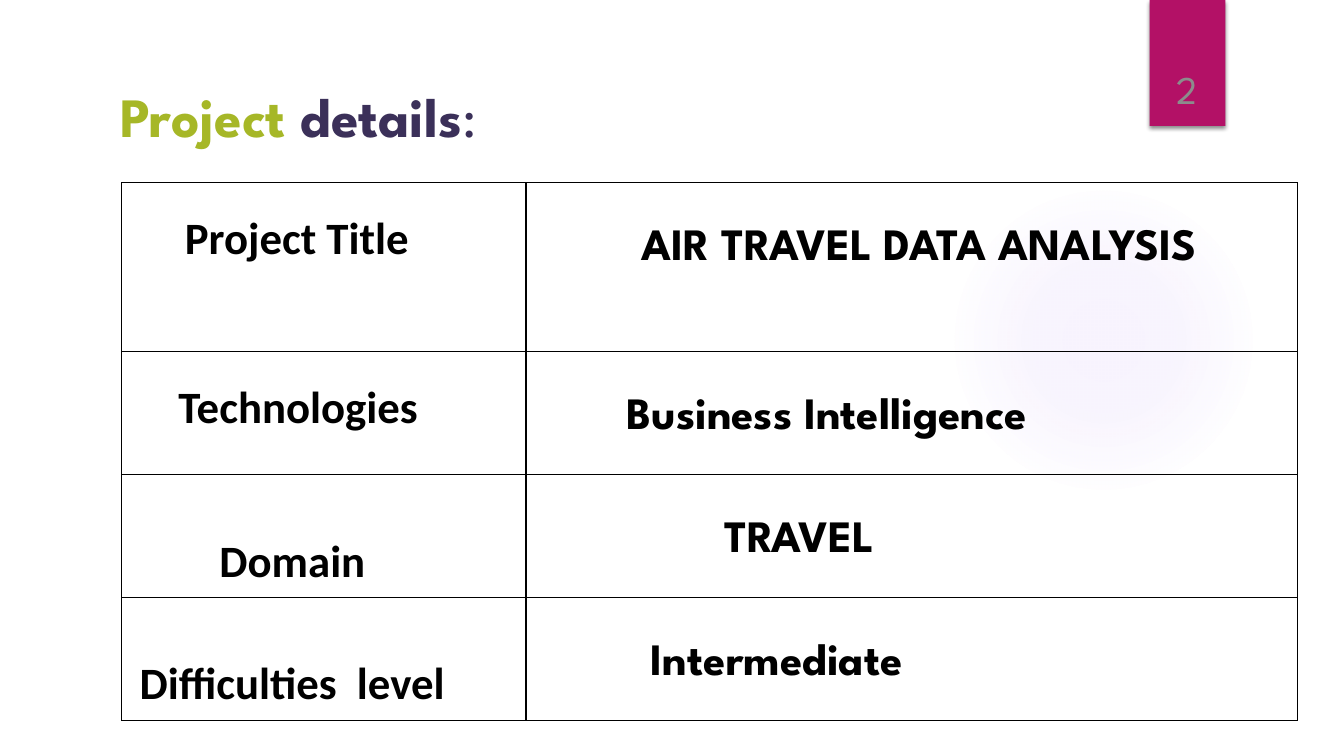
from dataclasses import dataclass
from typing import Any

from lxml import etree
from pptx import Presentation
from pptx.dml.color import RGBColor
from pptx.enum.shapes import MSO_SHAPE
from pptx.enum.text import MSO_ANCHOR, MSO_AUTO_SIZE, PP_ALIGN
from pptx.oxml import parse_xml
from pptx.oxml.ns import nsdecls
from pptx.util import Emu, Pt

OVAL = MSO_SHAPE.OVAL
RECTANGLE = MSO_SHAPE.RECTANGLE
TOP, BOTTOM = MSO_ANCHOR.TOP, MSO_ANCHOR.BOTTOM
LEFT, CENTER = PP_ALIGN.LEFT, PP_ALIGN.CENTER
NO_AUTOFIT = MSO_AUTO_SIZE.NONE

EMU_PER_PX = 9525
TITLE_ONLY = 5
SPARTAN = "League Spartan"
CALIBRI = "Calibri"
COLORS = {
    "glow": "9B6BF2",
    "ribbon": "B31166",
    "lime": "A6B727",
    "indigo": "3B3059",
    "black": "000000",
    "gray": "8C8C8C",
}


@dataclass(frozen=True)
class Frame:
    left: int
    top: int
    width: int
    height: int

    def emu(self) -> tuple[Emu, ...]:
        return tuple(px(n) for n in (self.left, self.top, self.width, self.height))


@dataclass(frozen=True)
class Span:
    text: str
    size: float
    color: str
    bold: bool = True
    font: str = SPARTAN


@dataclass(frozen=True)
class Detail:
    label: str
    label_indent: int
    label_drop: int
    value: str
    value_indent: int
    height: int


GLOW = Frame(903, 176, 296, 296)
RIBBON = Frame(1095, 0, 72, 120)
TITLE = Frame(105, 57, 409, 101)
PAGE_NUMBER = Frame(1087, 31, 88, 81)
TABLE_LEFT, TABLE_TOP = 116, 174
COLUMN_WIDTHS = (385, 735)
VALUE_DROP = 44
TITLE_SPANS = (
    Span("Project", 39.6, "lime"),
    Span(" details", 39.6, "indigo"),
    Span(":", 39.6, "indigo", bold=False),
)
DETAILS = (
    Detail("Project Title", 60, 28, "AIR TRAVEL DATA ANALYSIS", 110, 161),
    Detail("Technologies", 54, 28, "Business Intelligence", 96, 117),
    Detail("Domain", 93, 57, "TRAVEL", 189, 117),
    Detail("Difficulties  level", 17, 57, "Intermediate", 119, 117),
)


def px(count: int) -> Emu:
    return Emu(count * EMU_PER_PX)


def apply(target: Any, values: dict[str, Any]) -> None:
    for name, value in values.items():
        setattr(target, name, value)


def write(para: Any, spans: tuple[Span, ...], align: Any = LEFT) -> None:
    para.alignment = align
    for span in spans:
        run = para.add_run()
        run.text = span.text
        apply(run.font, {"name": span.font, "size": Pt(span.size), "bold": span.bold})
        run.font.color.rgb = RGBColor.from_string(COLORS[span.color])


def add_plain_shape(page: Any, kind: Any, frame: Frame) -> Any:
    shape = page.shapes.add_shape(kind, *frame.emu())
    shape.shadow.inherit = False
    shape.line.fill.background()
    return shape


def add_glow(page: Any) -> None:
    glow = add_plain_shape(page, OVAL, GLOW)
    glow.fill.background()
    stops = "".join(
        f'<a:gs pos="{position * 1000}"><a:srgbClr val="{COLORS["glow"]}">'
        f'<a:alpha val="{alpha * 1000}"/></a:srgbClr></a:gs>'
        for position, alpha in ((0, 7), (36, 6), (69, 0))
    )
    gradient = parse_xml(
        f'<a:gradFill {nsdecls("a")}><a:gsLst>{stops}</a:gsLst><a:path path="circle">'
        '<a:fillToRect l="50000" t="50000" r="50000" b="50000"/></a:path></a:gradFill>'
    )
    properties = glow.element.spPr
    properties.replace(properties.find("{*}noFill"), gradient)


def add_ribbon(page: Any) -> None:
    ribbon = add_plain_shape(page, RECTANGLE, RIBBON)
    ribbon.fill.solid()
    ribbon.fill.fore_color.rgb = RGBColor.from_string(COLORS["ribbon"])
    shadow = parse_xml(
        f'<a:outerShdw {nsdecls("a")} blurRad="{Pt(3)}" dist="{Pt(2)}" dir="5400000"'
        f' rotWithShape="0"><a:srgbClr val="{COLORS["black"]}">'
        '<a:alpha val="45000"/></a:srgbClr></a:outerShdw>'
    )
    ribbon.element.spPr.find("{*}effectLst").append(shadow)


def add_title(page: Any) -> None:
    title = page.shapes.title
    apply(title, dict(zip(("left", "top", "width", "height"), TITLE.emu())))
    apply(title.text_frame, {
        "auto_size": NO_AUTOFIT,
        "word_wrap": True,
        "vertical_anchor": TOP,
        "margin_top": px(21),
    })
    write(title.text_frame.paragraphs[0], TITLE_SPANS)


def add_page_number(page: Any) -> None:
    box = page.shapes.add_textbox(*PAGE_NUMBER.emu())
    apply(box.text_frame, {"word_wrap": True, "vertical_anchor": BOTTOM})
    span = Span("2", 28, "gray", bold=False)
    write(box.text_frame.paragraphs[0], (span,), CENTER)


def add_borders(cell: Any) -> None:
    properties = cell._tc.get_or_add_tcPr()
    for index, side in enumerate(("lnL", "lnR", "lnT", "lnB")):
        border = parse_xml(f'<a:{side} {nsdecls("a")} w="{Pt(1)}"/>')
        fill = etree.SubElement(border, border.tag.replace(side, "solidFill"))
        etree.SubElement(
            fill, border.tag.replace(side, "srgbClr"), val=COLORS["black"]
        )
        properties.insert(index, border)


def fill_cell(cell: Any, text: str, font: str, indent: int, drop: int) -> None:
    cell.fill.background()
    add_borders(cell)
    apply(cell, {
        "vertical_anchor": TOP,
        "margin_left": px(indent),
        "margin_top": px(drop),
        "margin_right": px(0),
        "margin_bottom": px(0),
    })
    span = Span(text, 32, "black", font=font)
    write(cell.text_frame.paragraphs[0], (span,))


def add_details(page: Any) -> None:
    height = sum(detail.height for detail in DETAILS)
    frame = Frame(TABLE_LEFT, TABLE_TOP, sum(COLUMN_WIDTHS), height)
    table = page.shapes.add_table(
        len(DETAILS), len(COLUMN_WIDTHS), *frame.emu()
    ).table
    apply(table, {"first_row": False, "horz_banding": False})
    for column, width in zip(table.columns, COLUMN_WIDTHS):
        column.width = px(width)
    for row, detail in zip(table.rows, DETAILS):
        row.height = px(detail.height)
        label, value = row.cells
        fill_cell(label, detail.label, CALIBRI, detail.label_indent, detail.label_drop)
        fill_cell(value, detail.value, SPARTAN, detail.value_indent, VALUE_DROP)


def main() -> None:
    deck = Presentation()
    apply(deck, {"slide_width": px(1280), "slide_height": px(720)})
    page = deck.slides.add_slide(deck.slide_layouts[TITLE_ONLY])
    add_glow(page)
    add_ribbon(page)
    add_title(page)
    add_details(page)
    add_page_number(page)
    deck.save("out.pptx")


if __name__ == "__main__":
    main()
